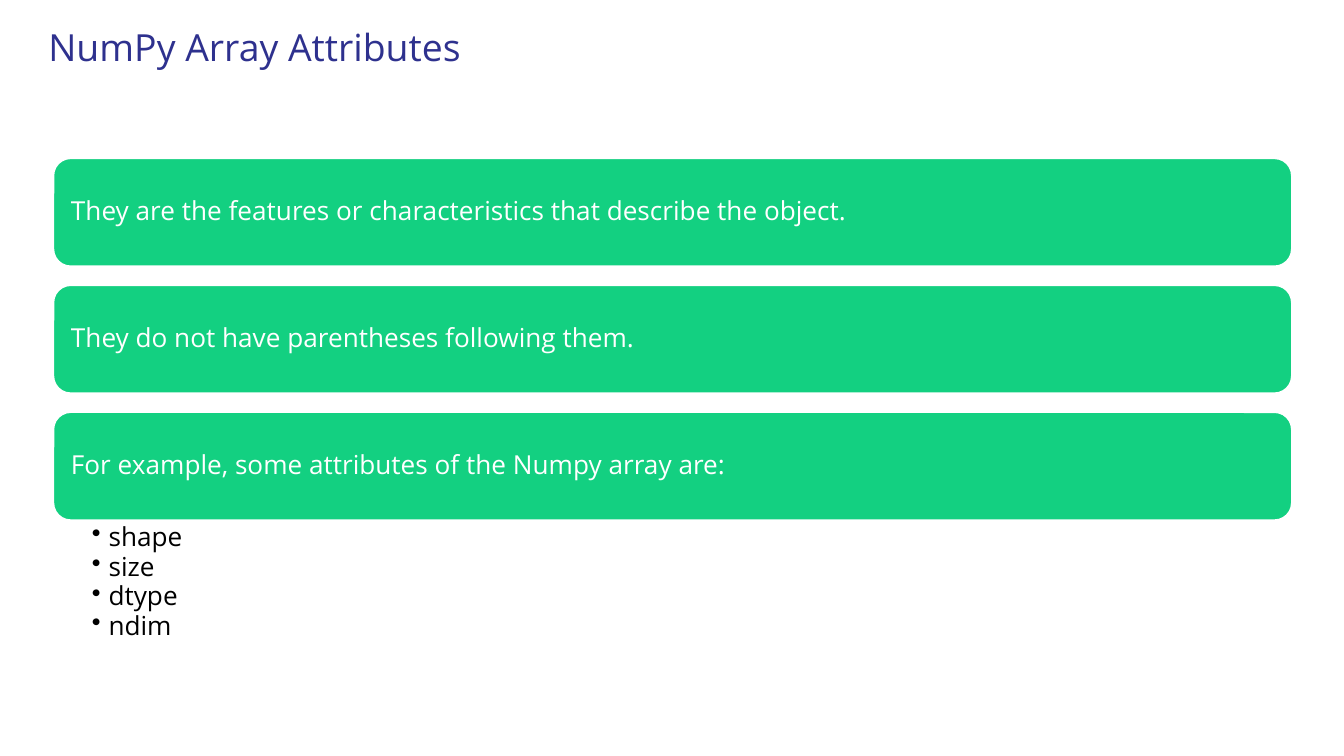
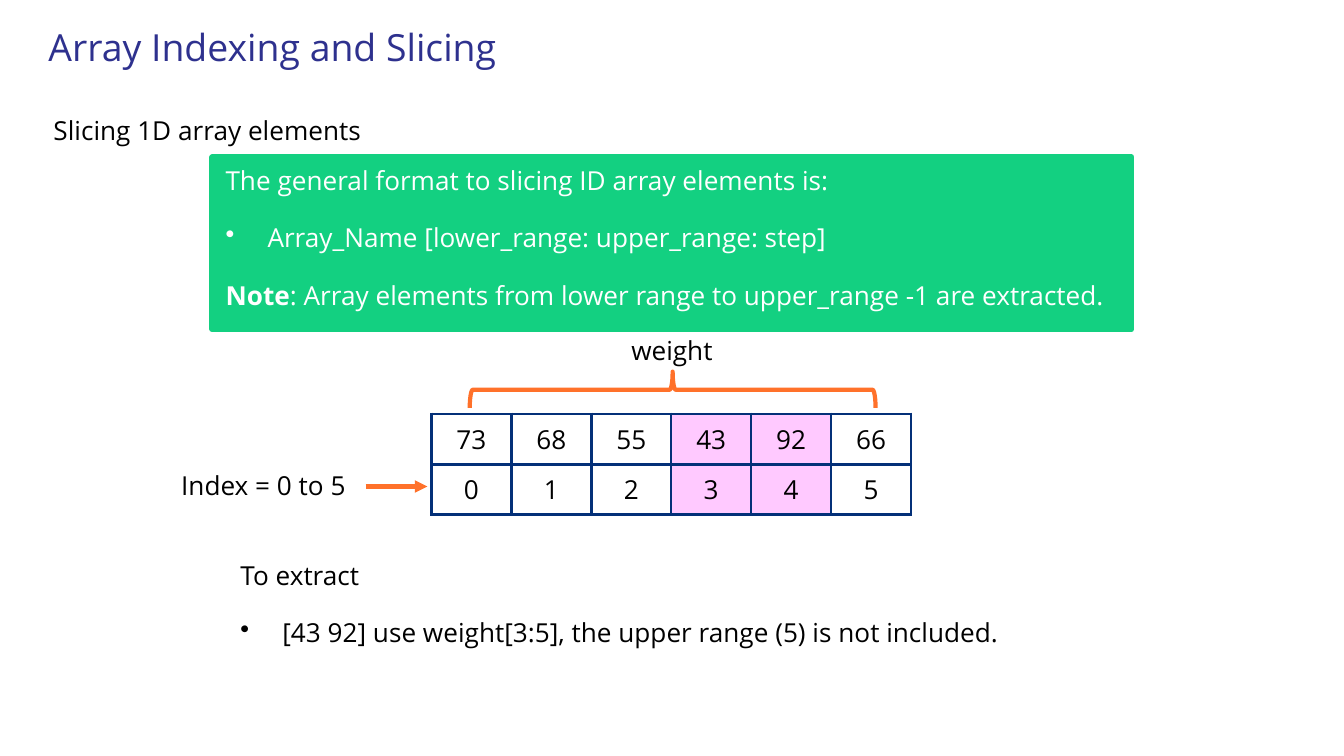
from dataclasses import dataclass

from lxml.etree import SubElement
from pptx import Presentation
from pptx.dml.color import RGBColor
from pptx.enum.shapes import MSO_CONNECTOR, MSO_SHAPE
from pptx.enum.text import MSO_ANCHOR, MSO_AUTO_SIZE, PP_ALIGN
from pptx.oxml import parse_xml
from pptx.oxml.ns import nsdecls, qn
from pptx.util import Pt

ATTRIBUTES_TITLE = "NumPy Array Attributes"
FEATURES = [
    "They are the features or characteristics that describe the object.",
    "They do not have parentheses following them.",
    "For example, some attributes of the Numpy array are:",
]
ATTRIBUTES = ["shape", "size", "dtype", "ndim"]

SLICING_TITLE = "Array Indexing and Slicing"
SUBTITLE = "Slicing 1D array elements"
FORMAT_LINES = [
    "The general format to slicing ID array elements is:",
    "• Array_Name [lower_range: upper_range: step]",
    [("Note", True), (": Array elements from lower range to upper_range -1 are extracted.", False)],
]
ARRAY_NAME = "weight"
WEIGHTS = [73, 68, 55, 43, 92, 66]
EXTRACTED = range(3, 5)
INDEX_LABEL = "Index = 0 to 5"
EXTRACT_LINES = [
    "To extract",
    "• [43 92] use weight[3:5], the upper range (5) is not included.",
]


@dataclass(frozen=True)
class Theme:
    font: str = "Open Sans"
    title_size: int = 20
    body_size: int = 14
    title: str = "2E318E"
    ink: str = "000000"
    paper: str = "FFFFFF"
    panel: str = "13D081"
    accent: str = "FF712A"
    grid: str = "043078"
    highlight: str = "FFC9FF"


THEME = Theme()
PAGE = (720, 405)
TITLE_AREA = (18.72, 5.76, 447, 36.72)
FEATURE_AREA = (28.08, 84.24, 664.56, 59)
FEATURE_PITCH = 68
SUBTITLE_AREA = (21.6, 57.6, 309.6, 24.48)
FORMAT_AREA = (113.76, 84.24, 492.48, 92.16)
NAME_AREA = (274.32, 175.68, 171.36, 24.48)
BRACE_AREA = (350.64, 100.08, 19.44, 217.44)
INDEX_AREA = (90, 247.68, 103.68, 24.48)
EXTRACT_AREA = (121.68, 295.92, 476.64, 58.32)
TABLE_ORIGIN = (231.12, 221.76)
CELL_WIDTH, CELL_HEIGHT = 42.84, 27
ARROW = (195.84, 260.64, 228.96, 260.64)

GROWING = {"word_wrap": True, "auto_size": MSO_AUTO_SIZE.SHAPE_TO_FIT_TEXT,
           "vertical_anchor": MSO_ANCHOR.TOP}
LEFT = {"alignment": PP_ALIGN.LEFT}
CENTRED = {"alignment": PP_ALIGN.CENTER}
SPACED = {**LEFT, "space_before": Pt(14)}


def apply(target, values):
    for attribute, value in values.items():
        setattr(target, attribute, value)


def margins(left, top, right, bottom):
    return {"margin_left": Pt(left), "margin_top": Pt(top),
            "margin_right": Pt(right), "margin_bottom": Pt(bottom)}


def points(values):
    return [Pt(value) for value in values]


def paint(fill, color):
    fill.solid()
    fill.fore_color.rgb = RGBColor.from_string(color)


def outline(line, color, width):
    paint(line.fill, color)
    line.width = Pt(width)


def write(frame, lines, frame_format, color=THEME.ink, size=THEME.body_size,
          first=LEFT, following=SPACED, indent=22.5):
    apply(frame, frame_format)
    for position, content in enumerate(lines):
        paragraph = frame.add_paragraph() if position else frame.paragraphs[0]
        apply(paragraph, following if position else first)
        if isinstance(content, str) and content.startswith("• "):
            content = content[2:]
            properties = paragraph._p.get_or_add_pPr()
            properties.set("marL", str(Pt(indent)))
            properties.set("indent", str(-Pt(indent)))
            SubElement(properties, qn("a:buChar"), char="•")
        for words, bold in [(content, False)] if isinstance(content, str) else content:
            run = paragraph.add_run()
            run.text = words
            apply(run.font, {"name": THEME.font, "size": Pt(size), "bold": bold})
            run.font.color.rgb = RGBColor.from_string(color)


def add_label(slide, area, lines, frame_format=GROWING, **style):
    write(slide.shapes.add_textbox(*points(area)).text_frame, lines, frame_format, **style)


def add_panel(slide, kind, area, border, border_width, lines, frame_format, **style):
    panel = slide.shapes.add_shape(kind, *points(area))
    panel.shadow.inherit = False
    paint(panel.fill, THEME.panel)
    outline(panel.line, border, border_width)
    write(panel.text_frame, lines, frame_format, THEME.paper, **style)


def add_titled_slide(deck, heading):
    slide = deck.slides.add_slide(deck.slide_layouts[5])
    title = slide.shapes.title
    apply(title, dict(zip(("left", "top", "width", "height"), points(TITLE_AREA))))
    write(title.text_frame, [heading],
          {**GROWING, "auto_size": MSO_AUTO_SIZE.NONE, **margins(7.2, 7.2, 7.2, 7.2)},
          THEME.title, THEME.title_size)
    return slide


def build_attributes(deck):
    slide = add_titled_slide(deck, ATTRIBUTES_TITLE)
    left, top, width, height = FEATURE_AREA
    feature_format = {"word_wrap": True, "vertical_anchor": MSO_ANCHOR.MIDDLE,
                      **margins(7.2, 7.2, 7.2, 7.2)}
    for row, feature in enumerate(FEATURES):
        add_panel(slide, MSO_SHAPE.ROUNDED_RECTANGLE,
                  (left, top + row * FEATURE_PITCH, width, height),
                  THEME.paper, 2, [feature], feature_format,
                  first={**LEFT, "line_spacing": 0.9})
    attributes_top = top + (len(FEATURES) - 1) * FEATURE_PITCH + height
    tight = {**LEFT, "level": 1, "line_spacing": 0.9, "space_after": Pt(0.8)}
    add_label(slide, (left, attributes_top, width, 82.8),
              [f"• {attribute}" for attribute in ATTRIBUTES],
              {"word_wrap": True, **margins(21.1, 1.4, 8, 1.4)},
              first=tight, following=tight, indent=9)


def border_cell(cell):
    properties = cell._tc.get_or_add_tcPr()
    for position, side in enumerate("LRTB"):
        properties.insert(position, parse_xml(
            f'<a:ln{side} {nsdecls("a")} w="{Pt(1.5)}"><a:solidFill>'
            f'<a:srgbClr val="{THEME.grid}"/></a:solidFill></a:ln{side}>'))


def add_weights(slide):
    rows = [WEIGHTS, range(len(WEIGHTS))]
    size = (CELL_WIDTH * len(WEIGHTS), CELL_HEIGHT * len(rows))
    weights = slide.shapes.add_table(len(rows), len(WEIGHTS),
                                     *points(TABLE_ORIGIN + size)).table
    apply(weights, {"first_row": False, "horz_banding": False})
    for column in weights.columns:
        column.width = Pt(CELL_WIDTH)
    for row, values in enumerate(rows):
        weights.rows[row].height = Pt(CELL_HEIGHT)
        for index, value in enumerate(values):
            cell = weights.cell(row, index)
            apply(cell, {"vertical_anchor": MSO_ANCHOR.MIDDLE, **margins(5, 0, 5, 0)})
            write(cell.text_frame, [str(value)], {}, first=CENTRED)
            if index in EXTRACTED:
                paint(cell.fill, THEME.highlight)
            else:
                cell.fill.background()
            border_cell(cell)


def add_brace(slide):
    brace = slide.shapes.add_shape(MSO_SHAPE.RIGHT_BRACE, *points(BRACE_AREA))
    brace.rotation = 270
    brace.shadow.inherit = False
    brace.fill.background()
    outline(brace.line, THEME.accent, 2.25)


def add_index_arrow(slide):
    arrow = slide.shapes.add_connector(MSO_CONNECTOR.STRAIGHT, *points(ARROW))
    outline(arrow.line, THEME.accent, 2.25)
    SubElement(arrow.line._get_or_add_ln(), qn("a:tailEnd"), type="triangle")
    SubElement(arrow._element.spPr, qn("a:effectLst"))


def build_slicing(deck):
    slide = add_titled_slide(deck, SLICING_TITLE)
    add_label(slide, SUBTITLE_AREA, [SUBTITLE])
    add_weights(slide)
    add_brace(slide)
    add_label(slide, NAME_AREA, [ARRAY_NAME], first=CENTRED)
    add_label(slide, INDEX_AREA, [INDEX_LABEL])
    add_index_arrow(slide)
    add_label(slide, EXTRACT_AREA, EXTRACT_LINES)
    add_panel(slide, MSO_SHAPE.RECTANGLE, FORMAT_AREA, THEME.panel, 3, FORMAT_LINES, GROWING)


def main():
    deck = Presentation()
    deck.slide_width, deck.slide_height = points(PAGE)
    build_attributes(deck)
    build_slicing(deck)
    deck.save("out.pptx")


if __name__ == "__main__":
    main()
